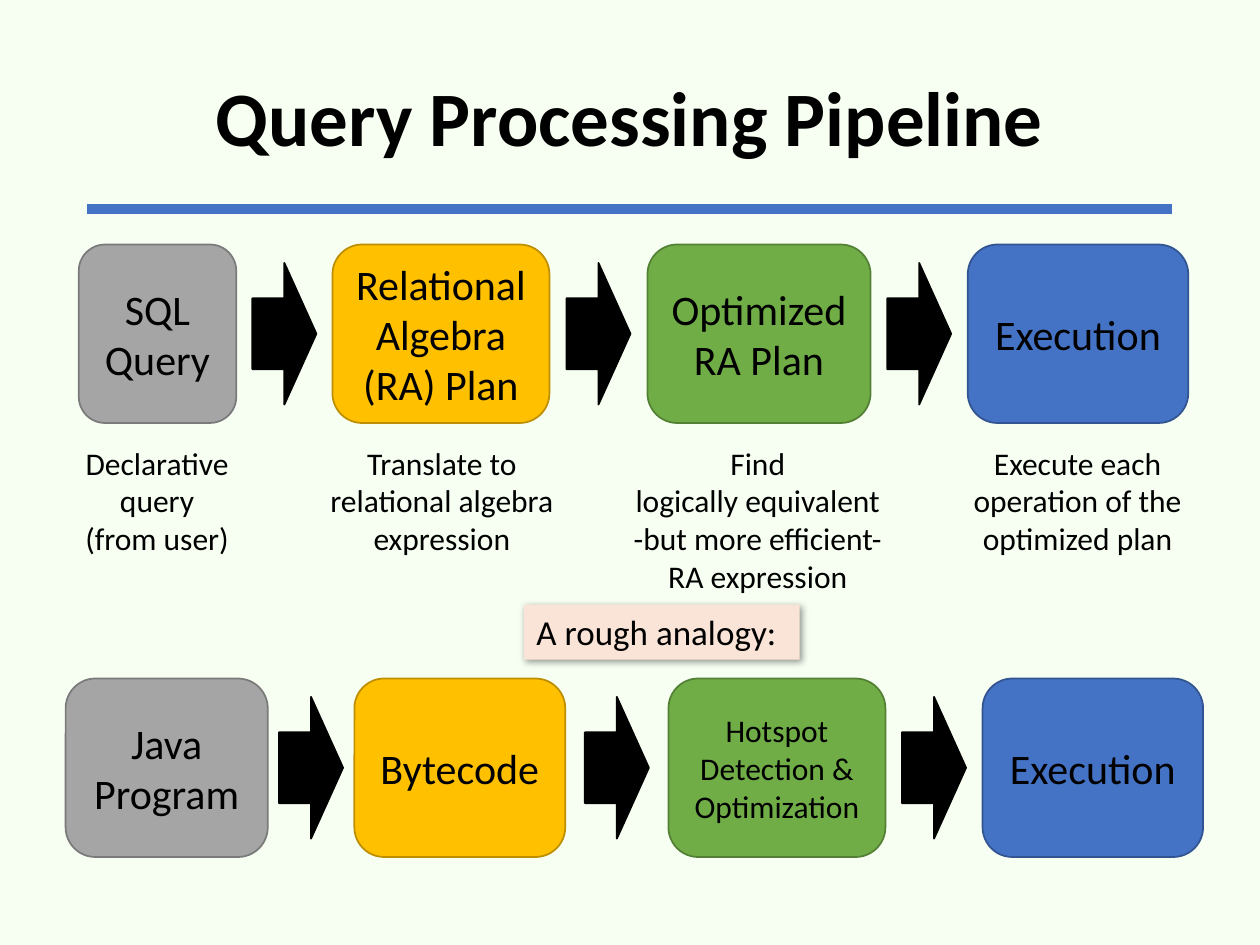
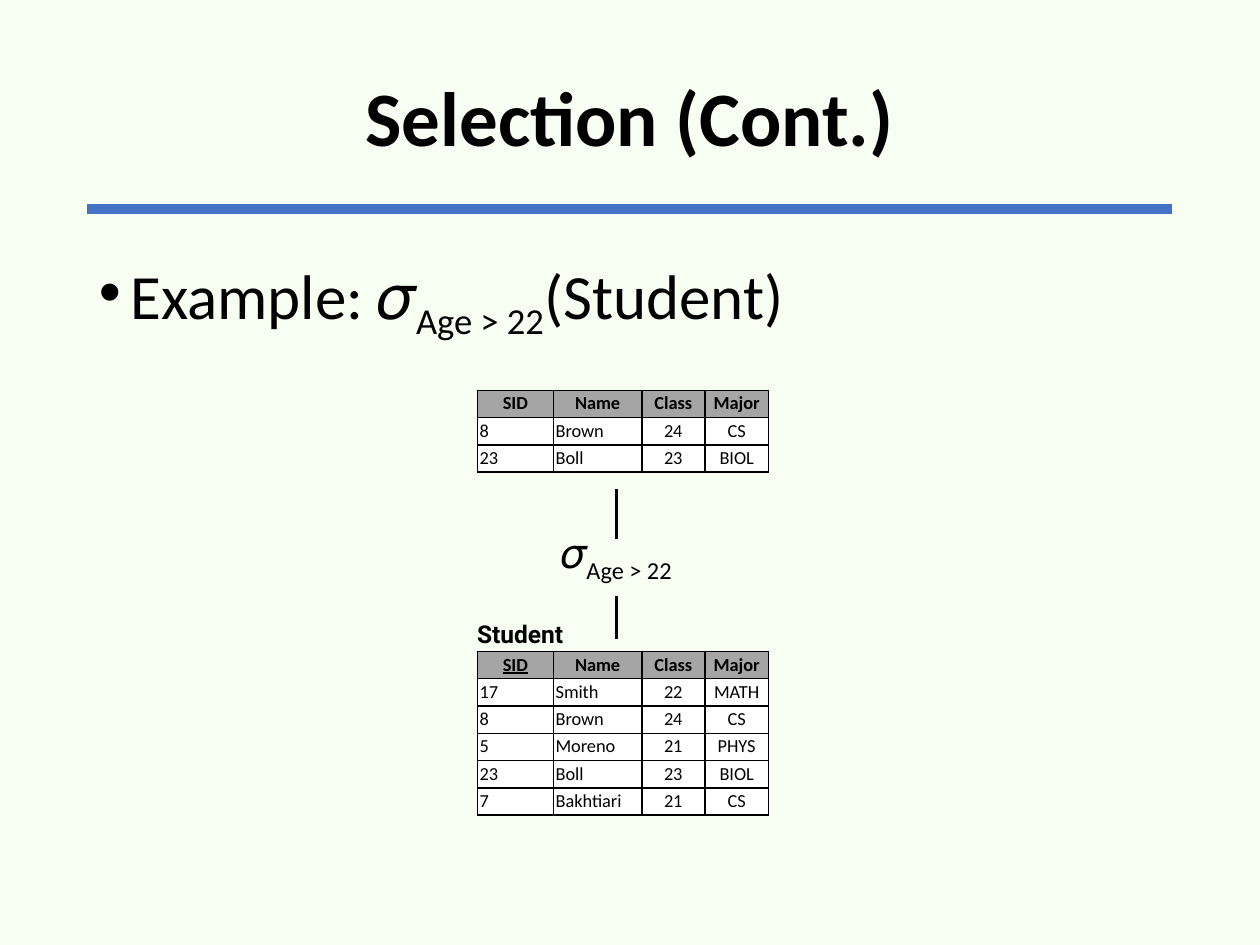
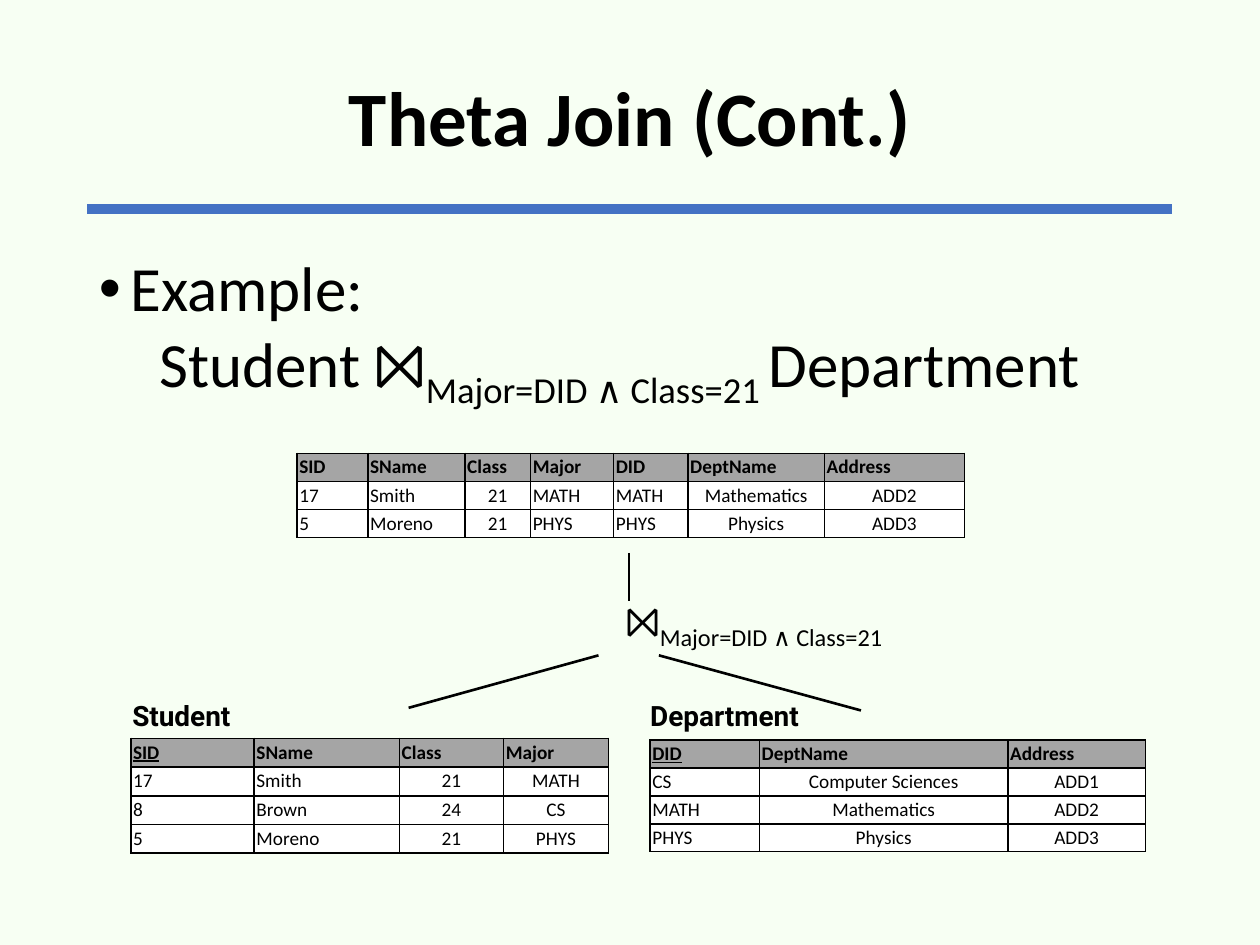
"""Build three slides on query processing and relational algebra."""
from dataclasses import dataclass

from lxml import etree
from pptx import Presentation
from pptx import util as u
from pptx.dml import color
from pptx.enum import shapes, text
from pptx.oxml import ns


@dataclass(frozen=True)
class Theme:
    """Colours, fonts and type sizes shared by all slides."""
    background: str = "F7FFF3"
    ink: str = "000000"
    rule: str = "4472C4"
    paper: str = "FFFFFF"
    header: str = "A5A5A5"
    note: str = "FAE4D7"
    stages: tuple = (("A5A5A5", "7A7A7A"), ("FFC000", "BD8E00"),
                     ("70AD47", "538035"), ("4472C4", "325491"))
    font: str = "Calibri"
    label_font: str = "Roboto"
    title: float = 44
    body: float = 36
    stage: float = 24
    note_size: float = 20
    caption: float = 18


THEME = Theme()
CENTER = text.PP_ALIGN.CENTER
MIDDLE = text.MSO_ANCHOR.MIDDLE
STAGE_HEIGHT = 102
ARROW_WIDTH, ARROW_HEIGHT = 36.6, 81


def rgb(value):
    """Turn a hex string into a colour."""
    return color.RGBColor.from_string(value)


def assign(target, values):
    """Set attributes of an object from a dict."""
    for name, value in values.items():
        setattr(target, name, value)


def points(*lengths):
    """Convert numbers to point lengths."""
    return [u.Pt(length) for length in lengths]


def add_span(para, words, size, subscript=False, **formats):
    """Add one formatted run to a paragraph."""
    span = para.add_run()
    span.text = words
    assign(span.font, {"name": THEME.font, "size": u.Pt(size), **formats})
    span.font.color.rgb = rgb(THEME.ink)
    if subscript:
        span.font._element.set("baseline", "-25000")


def write(frame, paras, size, align=None, spacing=None, **formats):
    """Fill a frame with paragraphs, each a string or a list of (words, subscript)."""
    for index, content in enumerate(paras):
        para = frame.add_paragraph() if index else frame.paragraphs[0]
        assign(para, {"alignment": align, "line_spacing": spacing})
        spans = [(content, False)] if isinstance(content, str) else content
        for words, subscript in spans:
            add_span(para, words, size, subscript, **formats)


def add_text(page, place, paras, size, frame_format=None, **formats):
    """Add a text box and return its frame."""
    frame = page.shapes.add_textbox(*points(*place)).text_frame
    assign(frame, {"word_wrap": True, **(frame_format or {})})
    write(frame, paras, size, **formats)
    return frame


def add_block(page, kind, place, fill, outline=None):
    """Add a filled preset shape without a shadow."""
    box = page.shapes.add_shape(kind, *points(*place))
    box.shadow.inherit = False
    box.fill.solid()
    box.fill.fore_color.rgb = rgb(fill)
    if outline:
        box.line.color.rgb = rgb(outline)
        box.line.width = u.Pt(1)
    else:
        box.line.fill.background()
    return box


def add_line(page, start, end, hue=THEME.ink, width=1.5):
    """Draw a straight line between two points."""
    line = page.shapes.add_connector(shapes.MSO_CONNECTOR.STRAIGHT, *points(*start, *end))
    line.line.color.rgb = rgb(hue)
    line.line.width = u.Pt(width)
    etree.SubElement(line._element.spPr, ns.qn("a:effectLst"))


def add_page(deck, title):
    """Add a blank slide with the shared background, rule and title."""
    page = deck.slides.add_slide(deck.slide_layouts[6])
    page.background.fill.solid()
    page.background.fill.fore_color.rgb = rgb(THEME.background)
    add_line(page, (50, 119.5), (670, 119.5), THEME.rule, 6)
    add_text(page, (50, 17, 620, 104.5), [title], THEME.title, {"vertical_anchor": MIDDLE},
             align=CENTER, spacing=0.9, bold=True)
    return page


def add_body(page, paras):
    """Add body text whose first paragraph is bulleted and whose others are indented."""
    frame = add_text(page, (49.5, 143.5, 621, 343), paras, THEME.body, spacing=0.9)
    first, *others = [para._p.get_or_add_pPr() for para in frame.paragraphs]
    assign_indent(first, 18, -18)
    etree.SubElement(first, ns.qn("a:buFont"), typeface="Arial")
    etree.SubElement(first, ns.qn("a:buChar"), char="•")
    for properties in others:
        assign_indent(properties, 34.5, 0)


def assign_indent(properties, margin, indent):
    """Set the left margin and first-line indent of a paragraph."""
    properties.set("marL", str(u.Pt(margin)))
    properties.set("indent", str(u.Pt(indent)))


def add_pipeline(page, top, stages):
    """Add a row of stages, given as (left, width, words, size), with arrows between."""
    previous_end = None
    for (left, width, words, size), (fill, outline) in zip(stages, THEME.stages):
        box = add_block(page, shapes.MSO_SHAPE.ROUNDED_RECTANGLE,
                        (left, top, width, STAGE_HEIGHT), fill, outline)
        box.text_frame.vertical_anchor = MIDDLE
        write(box.text_frame, [words], size, CENTER)
        if previous_end is not None:
            arrow_left = (previous_end + left - ARROW_WIDTH) / 2
            arrow_top = top + (STAGE_HEIGHT - ARROW_HEIGHT) / 2
            add_block(page, shapes.MSO_SHAPE.RIGHT_ARROW,
                      (arrow_left, arrow_top, ARROW_WIDTH, ARROW_HEIGHT), THEME.ink, THEME.ink)
        previous_end = left + width


def add_note(page, place, words):
    """Add a tinted note with a soft shadow."""
    box = add_block(page, shapes.MSO_SHAPE.RECTANGLE, place, THEME.note)
    effects = box._element.spPr.find(ns.qn("a:effectLst"))
    shadow = etree.SubElement(effects, ns.qn("a:outerShdw"), blurRad=str(u.Pt(4)),
                              dist=str(u.Pt(1.5)), dir="2700000", algn="tl", rotWithShape="0")
    hue = etree.SubElement(shadow, ns.qn("a:srgbClr"), val=THEME.ink)
    etree.SubElement(hue, ns.qn("a:alpha"), val="40000")
    box.text_frame.vertical_anchor = text.MSO_ANCHOR.TOP
    write(box.text_frame, [words], THEME.note_size, text.PP_ALIGN.LEFT)


def add_borders(cell):
    """Draw a thin line on all four sides of a cell."""
    properties = cell._tc.get_or_add_tcPr()
    for side in ("lnL", "lnR", "lnT", "lnB"):
        line = etree.SubElement(properties, ns.qn(f"a:{side}"), w=str(u.Pt(1)))
        fill = etree.SubElement(line, ns.qn("a:solidFill"))
        etree.SubElement(fill, ns.qn("a:srgbClr"), val=THEME.ink)


def add_relation(page, corner, widths, row_height, rows, size, centered,
                 center_header=False, keyed=False):
    """Add a relation as a table, its key column underlined if keyed."""
    place = (*corner, sum(widths), row_height * len(rows))
    table = page.shapes.add_table(len(rows), len(widths), *points(*place)).table
    assign(table, {"first_row": False, "horz_banding": False})
    for column, width in zip(table.columns, widths):
        column.width = u.Pt(width)
    for row_index, values in enumerate(rows):
        table.rows[row_index].height = u.Pt(row_height)
        heading = row_index == 0
        for column_index, value in enumerate(values):
            cell = table.cell(row_index, column_index)
            add_borders(cell)
            cell.fill.solid()
            cell.fill.fore_color.rgb = rgb(THEME.header if heading else THEME.paper)
            sides = ("left", "right", "top", "bottom")
            assign(cell, {f"margin_{side}": u.Pt(1.3) for side in sides})
            middle = center_header if heading else column_index in centered
            write(cell.text_frame, [value], size, CENTER if middle else None, bold=heading,
                  underline=keyed and heading and column_index == 0)


def add_relation_name(page, place, name, size):
    """Add the bold name above a relation."""
    add_text(page, place, [name], size, name=THEME.label_font, bold=True)


def build_pipeline_page(deck):
    """Compare the query pipeline with running a program."""
    page = add_page(deck, "Query Processing Pipeline")
    add_pipeline(page, 139.75, [
        (45, 90, "SQL Query", THEME.stage),
        (190, 124, "Relational Algebra (RA) Plan", THEME.stage),
        (370, 127.5, "Optimized RA Plan", THEME.stage),
        (553, 126, "Execution", THEME.stage)])
    captions = [
        (37.5, 104.5, 73, ["Declarative query", "(from user)"]),
        (176.5, 152, 73, ["Translate to relational algebra expression"]),
        (350.5, 165, 94.5, ["Find", "logically equivalent", "-but more efficient- RA expression"]),
        (547, 137.5, 73, ["Execute each operation of the optimized plan"])]
    for left, width, height, paras in captions:
        add_text(page, (left, 250, width, height), paras, THEME.caption, align=CENTER)
    add_note(page, (299.5, 345.5, 157.5, 31.5), "A rough analogy:")
    add_pipeline(page, 387.75, [
        (37.5, 115.5, "Java Program", THEME.stage),
        (202.5, 120.5, "Bytecode", THEME.stage),
        (382, 124, "Hotspot Detection & Optimization", THEME.caption),
        (561.5, 126, "Execution", THEME.stage)])


def build_selection_page(deck):
    """Show a selection from the Student relation."""
    page = add_page(deck, "Selection (Cont.)")
    condition = ("Age > 22", True)
    add_body(page, [[("Example: 𝜎", False), condition, ("(Student)", False)]])
    add_text(page, (300, 301, 104.5, 33), [[("𝜎", False), condition]], THEME.stage,
             {"vertical_anchor": MIDDLE, "word_wrap": False}, align=CENTER)
    for top, bottom in ((279.5, 308), (340.5, 365)):
        add_line(page, (352.25, top), (352.25, bottom))
    header = ["SID", "Name", "Class", "Major"]
    brown = ["8", "Brown", "24", "CS"]
    boll = ["23", "Boll", "23", "BIOL"]
    students = [header, ["17", "Smith", "22", "MATH"], brown, ["5", "Moreno", "21", "PHYS"],
                boll, ["7", "Bakhtiari", "21", "CS"]]
    for top, rows, keyed in ((223, [header, brown, boll], False), (372.25, students, True)):
        add_relation(page, (272.75, top), (43.5, 50.5, 36, 36.5), 15.6, rows, 10.5, {2, 3},
                     center_header=True, keyed=keyed)
    add_relation_name(page, (265.5, 350, 76, 24.5), "Student", 14)


def build_join_page(deck):
    """Show a theta join of Student and Department."""
    page = add_page(deck, "Theta Join (Cont.)")
    condition = "Major=DID ∧ Class=21"
    add_body(page, ["Example:", [("Student ⨝", False), (condition + " ", True),
                                 ("Department", False)]])
    add_relation(page, (74.75, 422), (70.5, 83, 59.5, 60), 16.4, [
        ["SID", "SName", "Class", "Major"],
        ["17", "Smith", "21", "MATH"],
        ["8", "Brown", "24", "CS"],
        ["5", "Moreno", "21", "PHYS"]], 11, {2, 3}, keyed=True)
    add_relation(page, (371.5, 422.75), (62.5, 142, 78.5), 16, [
        ["DID", "DeptName", "Address"],
        ["CS", "Computer Sciences", "ADD1"],
        ["MATH", "Mathematics", "ADD2"],
        ["PHYS", "Physics", "ADD3"]], 11, {1, 2}, keyed=True)
    add_relation(page, (169.75, 259), (40.5, 55.5, 37.5, 47.5, 42.5, 78, 80), 16.1, [
        ["SID", "SName", "Class", "Major", "DID", "DeptName", "Address"],
        ["17", "Smith", "21", "MATH", "MATH", "Mathematics", "ADD2"],
        ["5", "Moreno", "21", "PHYS", "PHYS", "Physics", "ADD3"]], 11, {2, 5, 6})
    add_relation_name(page, (68.5, 395.75, 84, 26.5), "Student", 16)
    add_relation_name(page, (364.5, 395.75, 116, 26.5), "Department", 16)
    add_text(page, (350.5, 329.75, 174, 52.5), [[("⨝", False), (condition, True)]], THEME.stage,
             {"vertical_anchor": MIDDLE})
    for start, end in (((359.5, 316), (359.5, 343.5)), ((342, 374.5), (233.5, 404.5)),
                       ((376.5, 374.5), (492, 406))):
        add_line(page, start, end)


def main():
    """Build and save the deck."""
    deck = Presentation()
    assign(deck, {"slide_width": u.Pt(720), "slide_height": u.Pt(540)})
    build_pipeline_page(deck)
    build_selection_page(deck)
    build_join_page(deck)
    deck.save("out.pptx")


if __name__ == "__main__":
    main()
